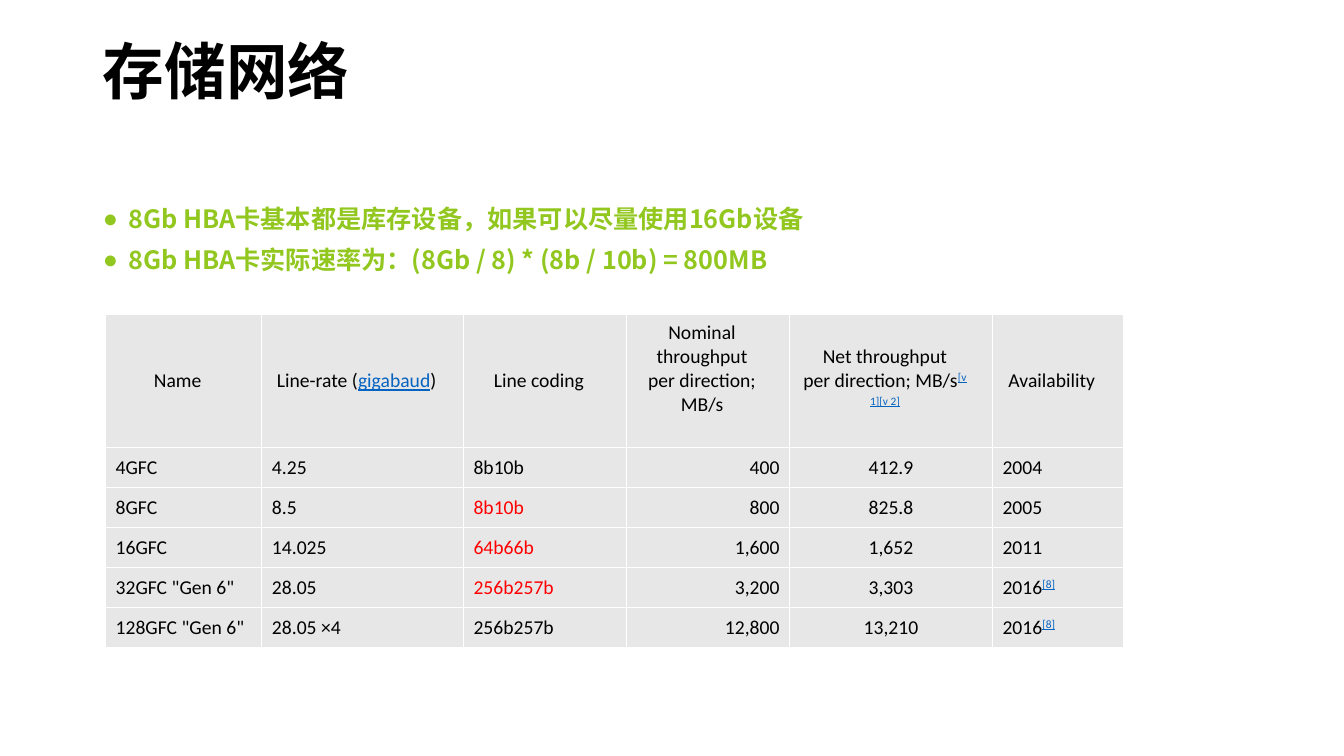
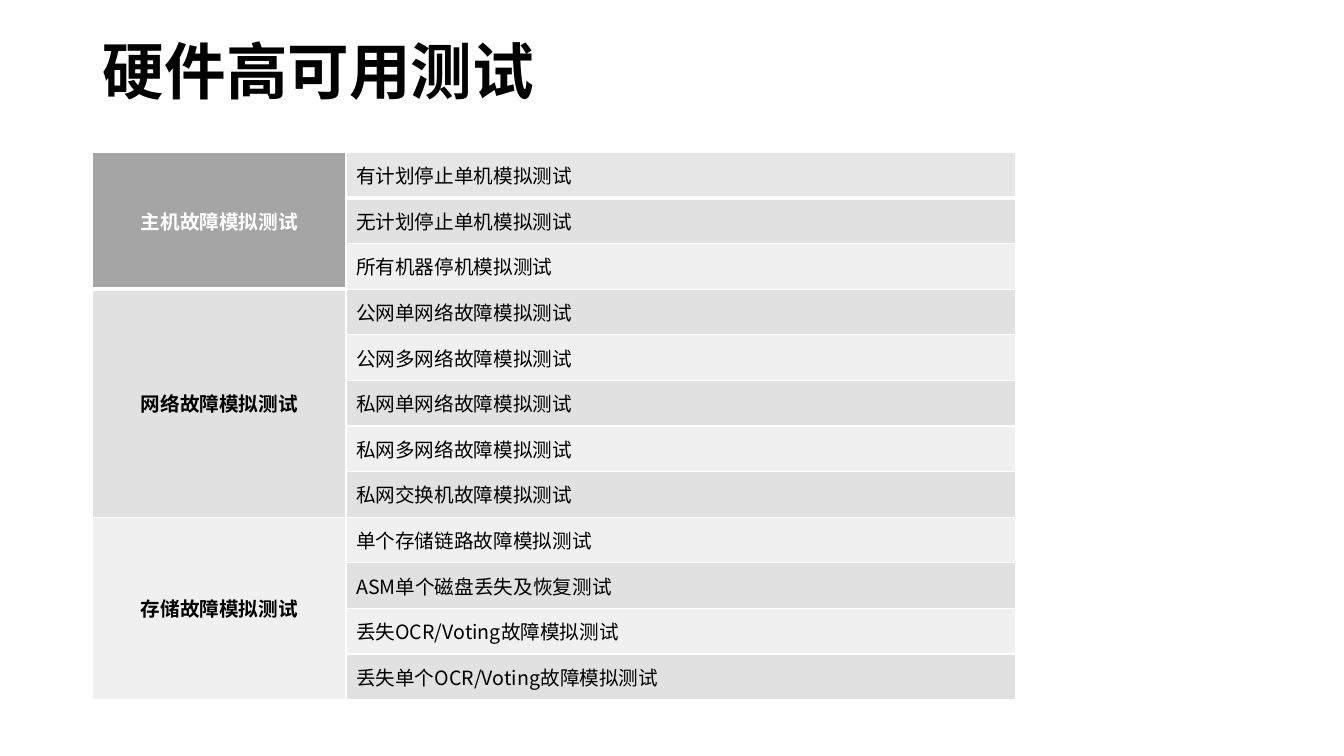
from lxml.etree import SubElement
from pptx import Presentation
from pptx.dml.color import RGBColor
from pptx.enum.text import MSO_ANCHOR, MSO_AUTO_SIZE, PP_ALIGN
from pptx.oxml.ns import qn
from pptx.util import Cm, Pt

LEFT, CENTER, RIGHT = PP_ALIGN.LEFT, PP_ALIGN.CENTER, PP_ALIGN.RIGHT
MIDDLE, TOP = MSO_ANCHOR.MIDDLE, MSO_ANCHOR.TOP
NO_FIT = MSO_AUTO_SIZE.NONE
TITLE_AND_CONTENT, TITLE_ONLY = 1, 5

# Shared look
COLORS = {
    "black": "000000", "white": "FFFFFF", "green": "92C71F", "red": "FF0000",
    "link": "0563C1", "cell": "E7E7E7", "head": "A5A5A5", "first": "E7E6E6",
    "dark_band": "E1E1E1", "light_band": "F0F0F0",
}
CJK, LATIN = "Noto Sans CJK SC", "Calibri"
TITLE = {"name": CJK, "size": Pt(44), "bold": True, "color": "black"}
BULLET = {"name": CJK, "size": Pt(18), "bold": True, "color": "green"}
RATE = {"name": LATIN, "size": Pt(14), "bold": False, "color": "black"}
LINK = {**RATE, "color": "link", "underline": True}
NOTE = {**LINK, "baseline": 30000}
RED = {**RATE, "color": "red"}
TEST = {"name": CJK, "size": Pt(14), "bold": False, "color": "black"}
GROUP = {**TEST, "bold": True}

# Content: storage network
STORAGE_TITLE = "存储网络"
STORAGE_POINTS = [
    "8Gb HBA卡基本都是库存设备，如果可以尽量使用16Gb设备",
    "8Gb HBA卡实际速率为：(8Gb / 8) * (8b / 10b) = 800MB",
]
RATE_HEADER = [
    [("Name", RATE)],
    [("Line-rate (", RATE), ("gigabaud", LINK), (")", RATE)],
    [("Line coding", RATE)],
    [("Nominal throughput\nper direction; MB/s\n", RATE)],
    [("Net throughput\nper direction; MB/s", RATE), ("[v 1][v 2]", NOTE)],
    [("Availability", RATE)],
]
RATE_ROWS = [
    ("4GFC", "4.25", "8b10b", "400", "412.9", "2004"),
    ("8GFC", "8.5", "8b10b", "800", "825.8", "2005"),
    ("16GFC", "14.025", "64b66b", "1,600", "1,652", "2011"),
    ('32GFC "Gen 6"', "28.05", "256b257b", "3,200", "3,303", "2016"),
    ('128GFC "Gen 6"', "28.05 ×4", "256b257b", "12,800", "13,210", "2016"),
]
RED_CODINGS = {"8GFC", "16GFC", '32GFC "Gen 6"'}
RATE_ALIGN = [LEFT, LEFT, LEFT, RIGHT, CENTER, LEFT]
RATE_COLS = [3.94, 5.08, 4.11, 4.11, 5.11, 3.3]
RATE_HEIGHTS = [3.35] + [1.01] * len(RATE_ROWS)

# Content: high availability tests
TEST_TITLE = "硬件高可用测试"
TEST_GROUPS = [
    ("主机故障模拟测试", [
        "有计划停止单机模拟测试", "无计划停止单机模拟测试", "所有机器停机模拟测试"]),
    ("网络故障模拟测试", [
        "公网单网络故障模拟测试", "公网多网络故障模拟测试", "私网单网络故障模拟测试",
        "私网多网络故障模拟测试", "私网交换机故障模拟测试"]),
    ("存储故障模拟测试", [
        "单个存储链路故障模拟测试", "ASM单个磁盘丢失及恢复测试",
        "丢失OCR/Voting故障模拟测试", "丢失单个OCR/Voting故障模拟测试"]),
]
TEST_COLS = [6.38, 16.87]
TEST_ROW = 1.15


def rgb(name):
    return RGBColor.from_string(COLORS[name])


def format_run(r, style):
    for key, value in style.items():
        if key == "color":
            r.font.color.rgb = rgb(value)
        elif key == "baseline":
            r.font._element.set("baseline", str(value))
        else:
            setattr(r.font, key, value)
    SubElement(r.font._element, qn("a:ea"), typeface=style["name"])


def write(p, runs, align=LEFT):
    """Fill a paragraph with (text, style) runs; a newline is a line break."""
    p.alignment = align
    for text, style in runs:
        size = str(int(style["size"].pt * 100))
        for i, line in enumerate(text.split("\n")):
            if i:
                p.add_line_break()
                SubElement(p._p[-1], qn("a:rPr"), sz=size)
            if line:
                r = p.add_run()
                r.text = line
                format_run(r, style)
    SubElement(p._p, qn("a:endParaRPr"), sz=size)


def place(sp, left, top, width, height, anchor):
    sp.left, sp.top, sp.width, sp.height = map(Cm, (left, top, width, height))
    tf = sp.text_frame
    tf.word_wrap, tf.auto_size, tf.vertical_anchor = True, NO_FIT, anchor
    return tf


def add_slide(prs, layout, title):
    s = prs.slides.add_slide(prs.slide_layouts[layout])
    p = place(s.shapes.title, 2.34, 0.05, 29.21, 3.68, MIDDLE).paragraphs[0]
    p.line_spacing = 0.9
    write(p, [(title, TITLE)])
    return s


def add_bullets(sp, lines):
    tf = place(sp, 2.34, 5.08, 29.21, 2.39, TOP)
    for i, line in enumerate(lines):
        p = tf.add_paragraph() if i else tf.paragraphs[0]
        p.line_spacing = 0.9
        p.space_before = Pt(10 if i else 0)
        pPr = p._p.get_or_add_pPr()
        pPr.set("marL", str(Cm(0.64)))
        pPr.set("indent", str(-Cm(0.64)))
        SubElement(pPr, qn("a:buChar"), char="●")
        write(p, [(line, BULLET)])


def add_grid(s, left, top, cols, heights):
    table = s.shapes.add_table(len(heights), len(cols), Cm(left), Cm(top),
                               Cm(sum(cols)), Cm(sum(heights))).table
    table.first_row = table.horz_banding = False
    for col, width in zip(table.columns, cols):
        col.width = Cm(width)
    for row, height in zip(table.rows, heights):
        row.height = Cm(height)
    return table


def style_cell(cell, fill, first_row=False, bottom=1):
    """White borders, then the fill; the top edge belongs to the row above."""
    cell.vertical_anchor = MIDDLE
    tcPr = cell._tc.get_or_add_tcPr()
    edges = {"lnL": 1, "lnR": 1, "lnT": 1, "lnB": bottom}
    if not first_row:
        del edges["lnT"]
    for edge, weight in edges.items():
        ln = SubElement(tcPr, qn(f"a:{edge}"), w=str(Pt(weight)))
        SubElement(SubElement(ln, qn("a:solidFill")), qn("a:srgbClr"),
                   val=COLORS["white"])
    cell.fill.solid()
    cell.fill.fore_color.rgb = rgb(fill)


def rate_cells(row):
    cells = [[(text, RATE)] for text in row]
    if row[0] in RED_CODINGS:
        cells[2] = [(row[2], RED)]
    if row[-1] == "2016":
        cells[-1].append(("[8]", NOTE))
    return cells


def build_storage(prs):
    s = add_slide(prs, TITLE_AND_CONTENT, STORAGE_TITLE)
    add_bullets(s.placeholders[1], STORAGE_POINTS)
    table = add_grid(s, 2.66, 7.92, RATE_COLS, RATE_HEIGHTS)
    for i, row in enumerate([RATE_HEADER] + [rate_cells(r) for r in RATE_ROWS]):
        for j, runs in enumerate(row):
            cell = table.cell(i, j)
            style_cell(cell, "cell", first_row=i == 0)
            if i == 0:
                cell.margin_right = Cm(0.56)
            write(cell.text_frame.paragraphs[0], runs,
                  RATE_ALIGN[j] if i else CENTER)


def build_tests(prs):
    s = add_slide(prs, TITLE_ONLY, TEST_TITLE)
    count = sum(len(tests) for _, tests in TEST_GROUPS)
    table = add_grid(s, 2.34, 3.84, TEST_COLS, [TEST_ROW] * count)
    row = 0
    for group, tests in TEST_GROUPS:
        start, is_head = row, row == 0
        for test in tests:
            band = "dark_band" if row % 2 else "light_band"
            if row == start:
                group_fill = "head" if is_head else band
            style_cell(table.cell(row, 0), group_fill, row == 0,
                       3 if is_head else 1)
            cell = table.cell(row, 1)
            style_cell(cell, band if row else "first", row == 0,
                       1 if row else 3)
            write(cell.text_frame.paragraphs[0], [(test, TEST)])
            row += 1
        cell = table.cell(start, 0)
        cell.merge(table.cell(row - 1, 0))
        style = {**GROUP, "color": "white" if is_head else "black"}
        write(cell.text_frame.paragraphs[0], [(group, style)], CENTER)


def main():
    prs = Presentation()
    prs.slide_width, prs.slide_height = Cm(33.87), Cm(19.05)
    build_storage(prs)
    build_tests(prs)
    prs.save("out.pptx")


if __name__ == "__main__":
    main()
